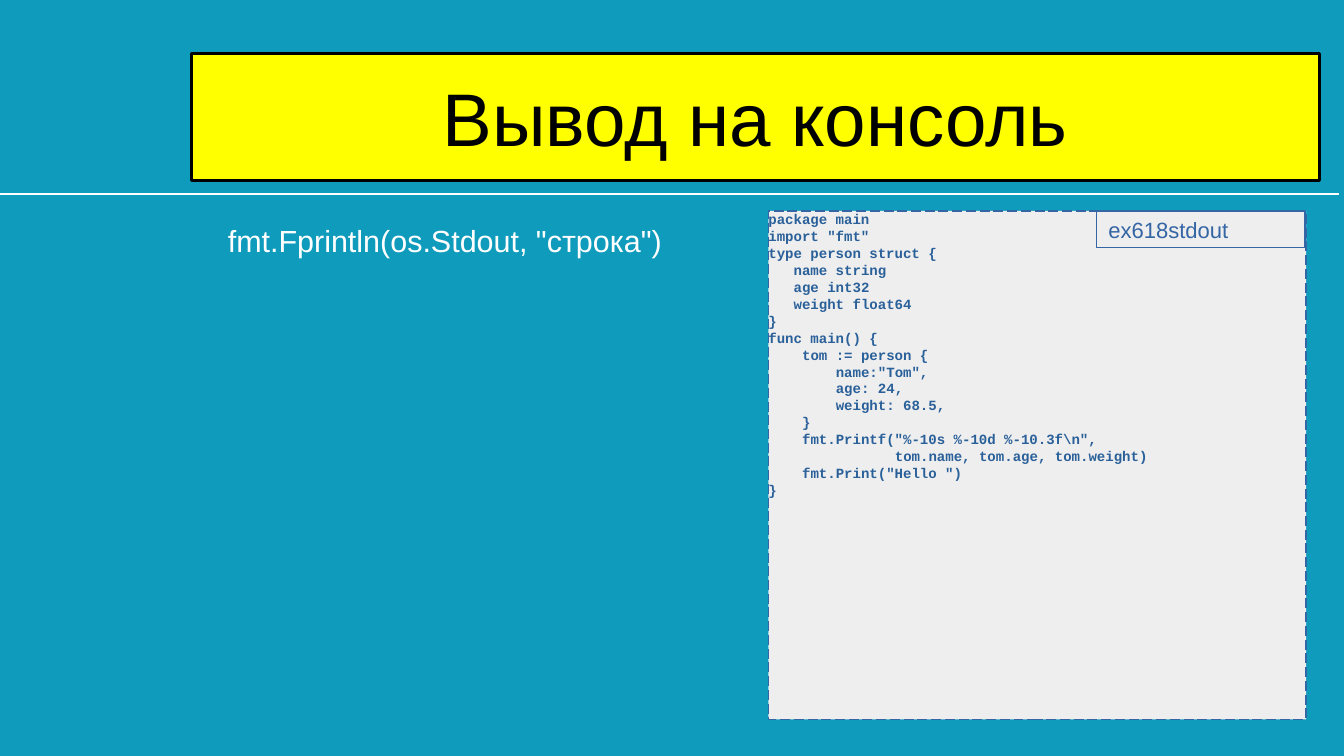
from lxml import etree
from pptx import Presentation
from pptx.dml.color import RGBColor
from pptx.enum.dml import MSO_LINE
from pptx.enum.shapes import MSO_CONNECTOR, MSO_SHAPE
from pptx.enum.text import MSO_ANCHOR, MSO_AUTO_SIZE, PP_ALIGN
from pptx.oxml.ns import qn
from pptx.util import Inches, Pt

RECTANGLE = MSO_SHAPE.RECTANGLE
STRAIGHT = MSO_CONNECTOR.STRAIGHT
LONG_DASH = MSO_LINE.LONG_DASH
TOP, MIDDLE = MSO_ANCHOR.TOP, MSO_ANCHOR.MIDDLE
LEFT, CENTER = PP_ALIGN.LEFT, PP_ALIGN.CENTER
NO_AUTOFIT = MSO_AUTO_SIZE.NONE
TITLE_ONLY = 5

# Content
TITLE = "Вывод на консоль"
CALL = 'fmt.Fprintln(os.Stdout, "строка")'
FILE_TAG = "ex618stdout"
CODE = [  # (indent in characters, code)
    (0, "package main"),
    (0, 'import "fmt"'),
    (0, "type person struct {"),
    (3, "name string"),
    (3, "age int32"),
    (3, "weight float64"),
    (0, "}"),
    (0, "func main() {"),
    (4, "tom := person {"),
    (8, 'name:"Tom",'),
    (8, "age: 24,"),
    (8, "weight: 68.5,"),
    (4, "}"),
    (4, 'fmt.Printf("%-10s %-10d %-10.3f\\n",'),
    (15, "tom.name, tom.age, tom.weight)"),
    (4, 'fmt.Print("Hello ")'),
    (0, "}"),
]

# Style
COLORS = {
    "background": "0F9BBC", "white": "FFFFFF", "black": "000000",
    "title": "FFFF00", "panel": "EEEEEE", "outline": "3465A4", "code": "2A6099",
}
CODE_SIZE = 8.3
CHARACTER_WIDTH = 0.6 * CODE_SIZE  # points, monospaced font
PADDING = (0.1, 0.05)


def color(name):
    return RGBColor.from_string(COLORS[name])


def place(shape, left, top, width, height):
    shape.left, shape.top = Inches(left), Inches(top)
    shape.width, shape.height = Inches(width), Inches(height)


def outline(shape, name, width):
    shape.line.color.rgb = color(name)
    shape.line.width = Pt(width)


def write(shape, lines, font, size, ink, bold=False, align=LEFT, anchor=TOP, padding=(0, 0)):
    frame = shape.text_frame
    frame.word_wrap = True
    frame.auto_size = NO_AUTOFIT
    frame.vertical_anchor = anchor
    frame.margin_left = frame.margin_right = Inches(padding[0])
    frame.margin_top = frame.margin_bottom = Inches(padding[1])
    for number, (indent, text) in enumerate(lines):
        para = frame.add_paragraph() if number else frame.paragraphs[0]
        para.text = text
        para.alignment = align
        para.font.name, para.font.size, para.font.bold = font, Pt(size), bold
        para.font.color.rgb = color(ink)
        if indent:
            para._p.get_or_add_pPr().set("marL", str(Pt(indent * CHARACTER_WIDTH)))


def add_rectangle(group, *bounds):
    box = group.shapes.add_shape(RECTANGLE, *map(Inches, bounds))
    box.shadow.inherit = False
    outline(box, "outline", 0)
    return box


def main():
    deck = Presentation()
    deck.slide_width, deck.slide_height = Inches(11.02), Inches(6.2)
    page = deck.slides.add_slide(deck.slide_layouts[TITLE_ONLY])
    page.background.fill.solid()
    page.background.fill.fore_color.rgb = color("background")

    # Title and the rule below it
    title = page.shapes.title
    place(title, 1.57, 0.44, 9.25, 1.04)
    title.fill.solid()
    title.fill.fore_color.rgb = color("title")
    outline(title, "black", 1.5)
    write(title, [(0, TITLE)], "Arial", 44, "black", align=CENTER, anchor=MIDDLE)

    rule = page.shapes.add_connector(STRAIGHT, 0, Inches(1.59), Inches(10.98), Inches(1.59))
    outline(rule, "white", 1.5)
    etree.SubElement(rule._element.spPr, qn("a:effectLst"))

    # Code panel with its file tag in the top right corner
    listing = page.shapes.add_group_shape()
    panel = add_rectangle(listing, 6.3, 1.73, 4.41, 4.17)
    panel.fill.solid()
    panel.fill.fore_color.rgb = color("panel")
    panel.line.dash_style = LONG_DASH
    write(panel, CODE, "Courier New", CODE_SIZE, "code", bold=True)

    tag = add_rectangle(listing, 8.99, 1.73, 1.71, 0.3)
    tag.fill.background()
    write(tag, [(0, FILE_TAG)], "Arial", 13, "outline", padding=PADDING)

    # Function call on the left
    call = page.shapes.add_textbox(Inches(1.77), Inches(1.77), Inches(4.04), Inches(0.38))
    write(call, [(0, CALL)], "Arial", 18, "white", padding=PADDING)

    deck.save("out.pptx")


if __name__ == "__main__":
    main()
